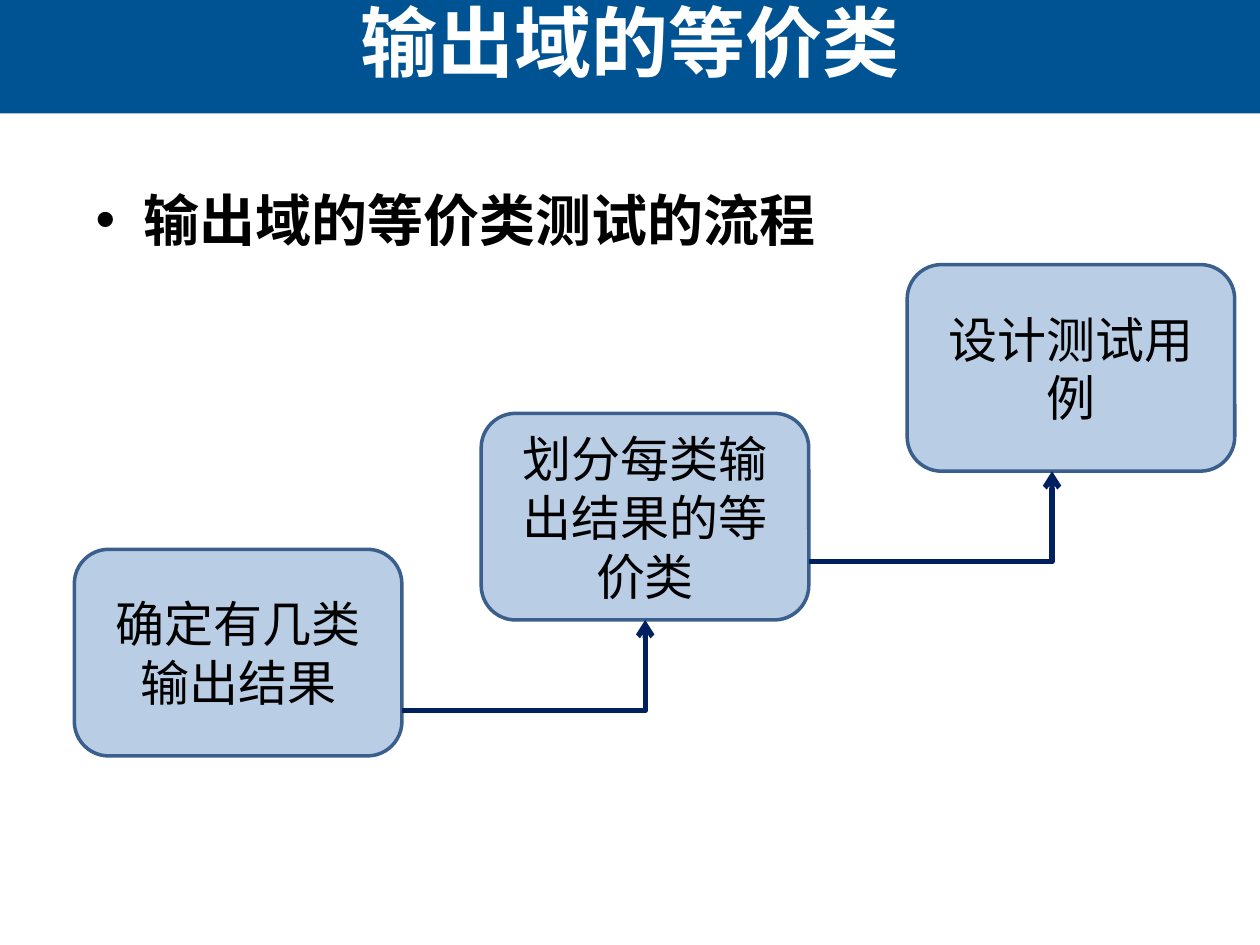
from typing import NamedTuple

from lxml import etree
from pptx import Presentation
from pptx import util as u
from pptx.dml.color import RGBColor
from pptx.enum import shapes, text
from pptx.oxml import ns

COLORS = {
    "banner": "005392",
    "white": "FFFFFF",
    "black": "000000",
    "step_fill": "B9CDE5",
    "step_line": "3A5F8C",
    "arrow": "002060",
}
STEP_WIDTH, STEP_HEIGHT = 187.2, 118.1
ARROW_RUN, ARROW_RISE = 139, 51.8


class Step(NamedTuple):
    label: str
    left: float
    top: float


class Style(NamedTuple):
    font: str
    size: float
    color: str
    bold: bool = False


STEPS = [
    Step("确定有几类输出结果", 42.5, 313.9),
    Step("划分每类输出结果的等价类", 275, 236.2),
    Step("设计测试用例", 518.4, 151.2),
]
TITLE = Style("Noto Sans CJK SC", 44, "white", True)
BODY = Style("Arial", 32, "black", True)
LABEL = Style("Calibri", 28, "black")


def color(name: str) -> RGBColor:
    return RGBColor.from_string(COLORS[name])


def add_span(para, words: str, style: Style) -> None:
    span = para.add_run()
    span.text = words
    span.font.name = style.font
    span.font.size = u.Pt(style.size)
    span.font.bold = style.bold
    span.font.color.rgb = color(style.color)
    # The same typeface for Chinese characters
    east_asian = etree.SubElement(span.font._element, ns.qn("a:ea"))
    east_asian.set("typeface", style.font)


def add_banner(slide, width: float, height: float) -> None:
    banner = slide.shapes.add_shape(
        shapes.MSO_SHAPE.RECTANGLE, 0, 0, u.Pt(width), u.Pt(height))
    banner.shadow.inherit = False
    banner.fill.solid()
    banner.fill.fore_color.rgb = color("banner")
    banner.line.fill.background()


def add_title(slide, words: str) -> None:
    box = slide.shapes.add_textbox(u.Pt(114), u.Pt(20.9), u.Pt(492), u.Pt(32.4))
    frame = box.text_frame
    frame.word_wrap = True
    frame.vertical_anchor = text.MSO_ANCHOR.BOTTOM
    para = frame.paragraphs[0]
    para.alignment = text.PP_ALIGN.CENTER
    add_span(para, words, TITLE)


def add_bullet(slide, words: str) -> None:
    box = slide.shapes.add_textbox(u.Pt(54.7), u.Pt(105.8), u.Pt(603.4), u.Pt(365))
    frame = box.text_frame
    frame.word_wrap = True
    frame.margin_left = frame.margin_right = 0
    frame.margin_top = frame.margin_bottom = 0
    para = frame.paragraphs[0]
    properties = para._p.get_or_add_pPr()
    properties.set("marL", str(u.Pt(27)))
    properties.set("indent", str(u.Pt(-27)))
    etree.SubElement(properties, ns.qn("a:buFont")).set("typeface", "Arial")
    etree.SubElement(properties, ns.qn("a:buChar")).set("char", "•")
    add_span(para, words, BODY)


def add_step(slide, step: Step) -> None:
    box = slide.shapes.add_shape(
        shapes.MSO_SHAPE.ROUNDED_RECTANGLE, u.Pt(step.left), u.Pt(step.top),
        u.Pt(STEP_WIDTH), u.Pt(STEP_HEIGHT))
    box.shadow.inherit = False
    box.fill.solid()
    box.fill.fore_color.rgb = color("step_fill")
    box.line.color.rgb = color("step_line")
    box.line.width = u.Pt(2)
    box.text_frame.word_wrap = True
    box.text_frame.vertical_anchor = text.MSO_ANCHOR.MIDDLE
    para = box.text_frame.paragraphs[0]
    para.alignment = text.PP_ALIGN.CENTER
    add_span(para, step.label, LABEL)


def add_arrow(slide, start: Step, end: Step) -> None:
    """Run right from one step, then up to the bottom edge of the next."""
    left = start.left + STEP_WIDTH
    tip = end.top + STEP_HEIGHT
    arrow = slide.shapes.add_connector(
        shapes.MSO_CONNECTOR.ELBOW, u.Pt(left), u.Pt(tip + ARROW_RISE),
        u.Pt(left + ARROW_RUN), u.Pt(tip))
    arrow.line.color.rgb = color("arrow")
    arrow.line.width = u.Pt(3)
    properties = arrow._element.spPr
    properties.find(ns.qn("a:prstGeom")).set("prst", "bentConnector2")
    line = properties.find(ns.qn("a:ln"))
    etree.SubElement(line, ns.qn("a:tailEnd")).set("type", "arrow")
    etree.SubElement(properties, ns.qn("a:effectLst"))


def main() -> None:
    deck = Presentation()
    deck.slide_width, deck.slide_height = u.Pt(720), u.Pt(540)
    slide = deck.slides.add_slide(deck.slide_layouts[6])

    # Heading and bullet
    add_banner(slide, 720, 64.8)
    add_bullet(slide, "输出域的等价类测试的流程")
    add_title(slide, "输出域的等价类")

    # Rising steps and the arrows between them
    for step in STEPS:
        add_step(slide, step)
    for start, end in zip(STEPS, STEPS[1:]):
        add_arrow(slide, start, end)

    deck.save("out.pptx")


if __name__ == "__main__":
    main()
